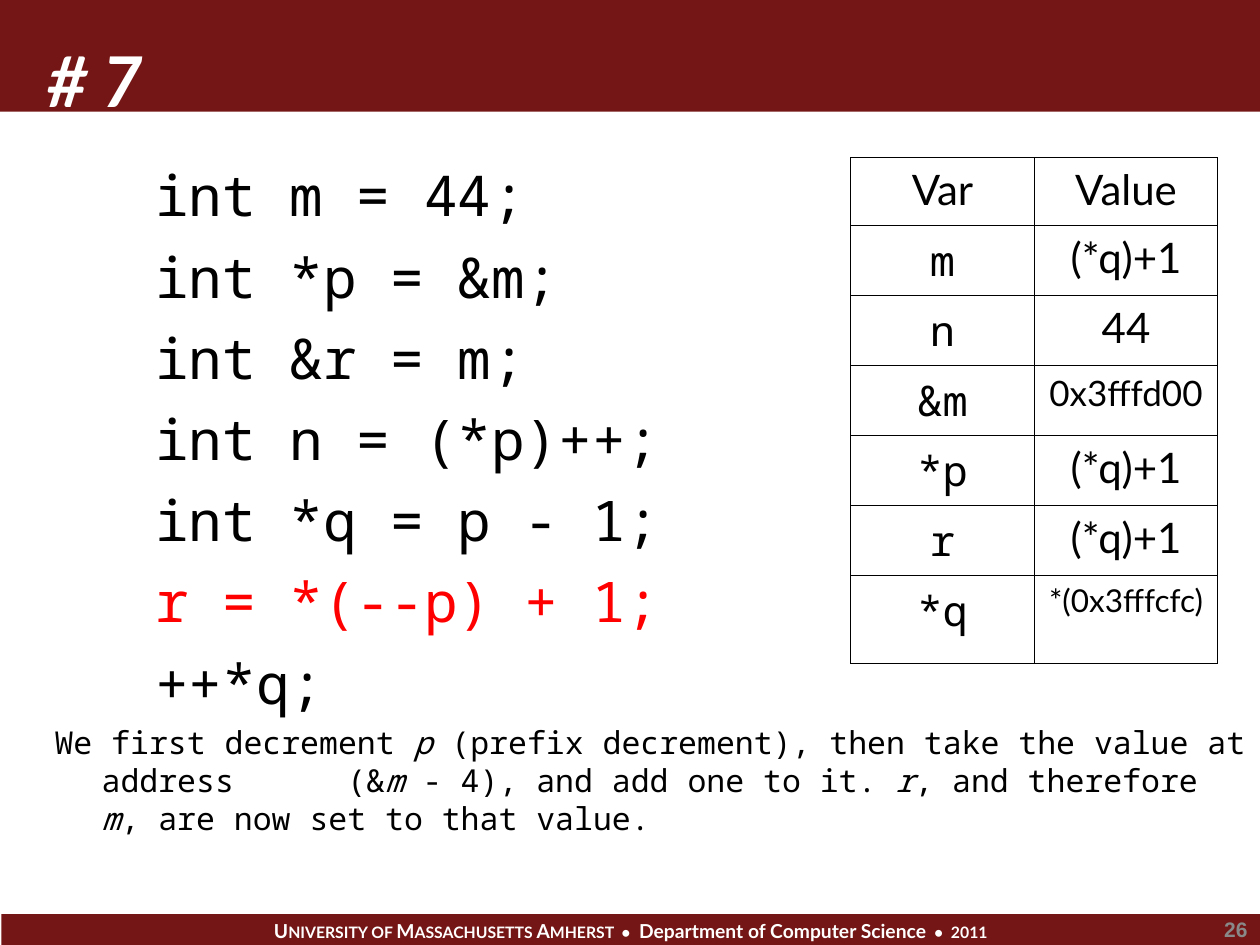
import pptx
import pptx.dml.color
import pptx.enum.shapes
import pptx.enum.text
import pptx.oxml
import pptx.oxml.ns
import pptx.util

Cm = pptx.util.Cm
Pt = pptx.util.Pt
ALIGN = pptx.enum.text.PP_ALIGN
ANCHOR = pptx.enum.text.MSO_ANCHOR
NS = pptx.oxml.ns.nsdecls("a")


def color(hex_code):
    return pptx.dml.color.RGBColor.from_string(hex_code)


class SlideWriter:
    sans = "Lato"
    mono = "Noto Sans Mono"
    maroon = "741615"
    white = "FFFFFF"
    black = "000000"
    red = "FF0000"

    def __init__(self, slide):
        self.slide = slide

    def run(self, paragraph, text, size, font, ink, bold=False, italic=False,
            tracking=0):
        run = paragraph.add_run()
        run.text = text
        run.font.size = Pt(size)
        run.font.name = font
        run.font.bold = bold
        run.font.italic = italic
        run.font.color.rgb = color(ink)
        if tracking:
            run._r.get_or_add_rPr().set("spc", str(tracking * 100))

    def band(self, left, top, width, height):
        band = self.slide.shapes.add_shape(
            pptx.enum.shapes.MSO_SHAPE.RECTANGLE,
            Cm(left), Cm(top), Cm(width), Cm(height))
        band.shadow.inherit = False
        band.fill.solid()
        band.fill.fore_color.rgb = color(self.maroon)
        band.line.fill.background()
        band.text_frame.vertical_anchor = ANCHOR.MIDDLE
        return band.text_frame

    def text(self, left, top, width, height, anchor=ANCHOR.TOP):
        box = self.slide.shapes.add_textbox(
            Cm(left), Cm(top), Cm(width), Cm(height))
        box.text_frame.word_wrap = True
        box.text_frame.vertical_anchor = anchor
        return box.text_frame

    def hang(self, paragraph, indent):
        properties = paragraph._p.get_or_add_pPr()
        properties.set("marL", str(Cm(indent)))
        properties.set("indent", str(-Cm(indent)))

    def border(self, cell):
        properties = cell._tc.get_or_add_tcPr()
        for position, side in enumerate(("lnL", "lnR", "lnT", "lnB")):
            properties.insert(position, pptx.oxml.parse_xml(
                f'<a:{side} {NS} w="{Pt(0.45)}"><a:solidFill>'
                f'<a:srgbClr val="{self.black}"/></a:solidFill></a:{side}>'))

    def table(self, left, top, column_width, row_heights, rows):
        columns = len(rows[0])
        table = self.slide.shapes.add_table(
            len(rows), columns, Cm(left), Cm(top),
            Cm(column_width * columns), Cm(sum(row_heights))).table
        table.first_row = False
        table.horz_banding = False
        for column in table.columns:
            column.width = Cm(column_width)
        for row_index, (height, row) in enumerate(zip(row_heights, rows)):
            table.rows[row_index].height = Cm(height)
            for column_index, (text, size, font) in enumerate(row):
                cell = table.cell(row_index, column_index)
                cell.fill.background()
                self.border(cell)
                paragraph = cell.text_frame.paragraphs[0]
                paragraph.alignment = ALIGN.CENTER
                self.run(paragraph, text, size, font, self.black)


def main():
    deck = pptx.Presentation()
    deck.slide_width = Cm(25.4)
    deck.slide_height = Cm(19.05)
    writer = SlideWriter(deck.slides.add_slide(deck.slide_layouts[6]))

    footer = writer.band(0.03, 18.43, 25.37, 0.68).paragraphs[0]
    footer.alignment = ALIGN.CENTER
    for words, size in (
        ("U", 11), ("NIVERSITY OF ", 9), ("M", 11), ("ASSACHUSETTS ", 9),
        ("A", 11), ("MHERST  • ", 9),
        (" Department of Computer Science", 11), ("  •  2011", 9),
    ):
        writer.run(footer, words, size, writer.sans, writer.white, bold=True)

    writer.band(0, 0, 25.4, 2.25)
    title = writer.text(0.7, 0.32, 21.16, 2.25, ANCHOR.BOTTOM)
    writer.run(title.paragraphs[0], "# 7", 40, writer.sans, writer.white,
               bold=True, italic=True)

    body = writer.text(0.85, 3.12, 24.55, 14.86)
    statements = ("int m = 44;", "int *p = &m;", "int &r = m;",
                  "int n = (*p)++;", "int *q = p - 1;",
                  "r = *(--p) + 1;", "++*q;")
    current = "r = *(--p) + 1;"
    for index, statement in enumerate(statements):
        line = body.add_paragraph() if index else body.paragraphs[0]
        writer.hang(line, 0.95)
        if index:
            line.space_before = Pt(8)
        ink = writer.red if statement == current else writer.black
        writer.run(line, "   " + statement, 32, writer.mono, ink)

    explanation = body.add_paragraph()
    writer.hang(explanation, 0.95)
    explanation.space_before = Pt(4.5)
    for words, italic, tracking in (
        ("We first decrement ", False, 0), ("p", True, 0),
        (" (prefix decrement), then take the value at address", False, 0),
        (" ", False, 54), ("(&", False, 0), ("m", True, 0),
        (" - 4), and add one to it. ", False, 0), ("r", True, 0),
        (", and therefore ", False, 0), ("m", True, 0),
        (", are now set to that value.", False, 0),
    ):
        writer.run(explanation, words, 18, writer.mono, writer.black,
                   italic=italic, tracking=tracking)

    page = writer.text(21.59, 18.42, 3.81, 0.64, ANCHOR.MIDDLE).paragraphs[0]
    page.alignment = ALIGN.RIGHT
    writer.run(page, "26", 12, "Arial", "898989", bold=True)

    values = (("m", "(*q)+1", 24), ("n", "44", 24), ("&m", "0x3fffd00", 20),
              ("*p", "(*q)+1", 24), ("r", "(*q)+1", 24),
              ("*q", "*(0x3fffcfc)", 18))
    header = [("Var", 24, writer.sans), ("Value", 24, writer.sans)]
    rows = [header] + [
        [(name, 24, writer.mono), (value, size, writer.sans)]
        for name, value, size in values]
    writer.table(17.15, 3.18, 3.7, [1.37] + [1.41] * 5 + [1.78], rows)

    deck.save("out.pptx")


if __name__ == "__main__":
    main()
